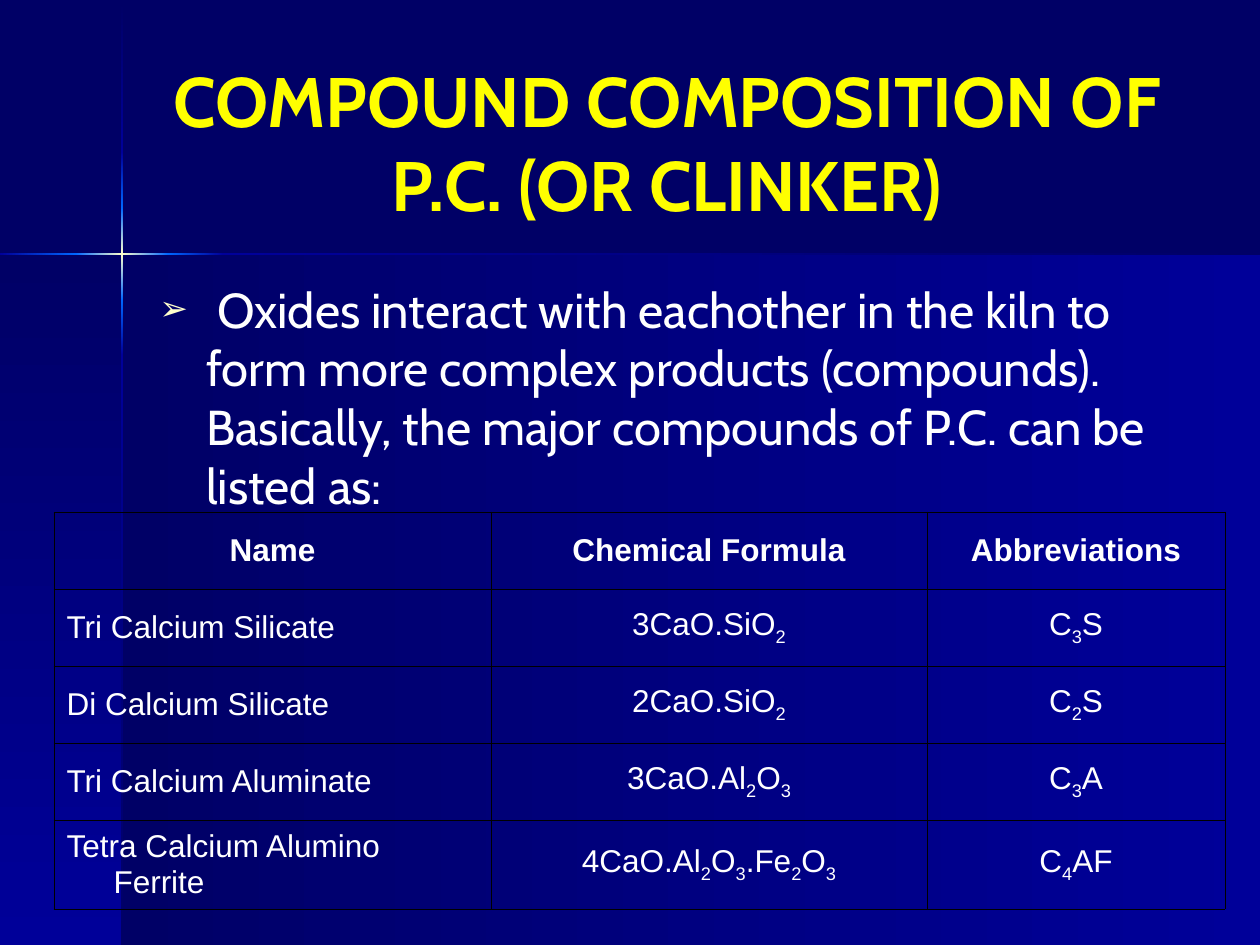
import copy
import itertools

import lxml.etree
import pptx
import pptx.dml.color
import pptx.enum.shapes
import pptx.enum.text
import pptx.oxml.ns
import pptx.util

EMU_PER_PX = 914400 / 126
RGB = pptx.dml.color.RGBColor
NAVY = RGB(0x00, 0x00, 0x66)
BLUE = RGB(0x00, 0x00, 0x99)
BRIGHT = RGB(0x00, 0x66, 0xFF)
CREAM = RGB(0xFF, 0xFF, 0xCC)
YELLOW = RGB(0xFF, 0xFF, 0x00)
WHITE = RGB(0xFF, 0xFF, 0xFF)
BLACK = RGB(0x00, 0x00, 0x00)
CENTER = pptx.enum.text.PP_ALIGN.CENTER
MIDDLE = pptx.enum.text.MSO_ANCHOR.MIDDLE
DOWN, LEFTWARD = 270, 180
HANG = 47

COMPOUNDS = [
    ("Name", "Chemical Formula", "Abbreviations"),
    ("Tri Calcium Silicate", "3CaO.SiO2", "C3S"),
    ("Di Calcium Silicate", "2CaO.SiO2", "C2S"),
    ("Tri Calcium Aluminate", "3CaO.Al2O3", "C3A"),
    ("Tetra Calcium Alumino Ferrite", "4CaO.Al2O3.Fe2O3", "C4AF"),
]


def px(length):
    return pptx.util.Emu(round(length * EMU_PER_PX))


def add_element(parent, tag, **attributes):
    return lxml.etree.SubElement(parent, pptx.oxml.ns.qn(tag), attributes)


def add_span(para, text, size, font, color, bold=False):
    span = para.add_run()
    span.text = text
    span.font.size = pptx.util.Pt(size)
    span.font.name = font
    span.font.color.rgb = color
    span.font.bold = bold
    return span


def set_hanging_indent(para):
    properties = para._p.get_or_add_pPr()
    properties.set("marL", str(px(HANG)))
    properties.set("indent", str(-px(HANG)))
    return properties


def add_gradient_bar(page, box, colors, angle):
    bar = page.shapes.add_shape(
        pptx.enum.shapes.MSO_SHAPE.RECTANGLE, *map(px, box))
    bar.shadow.inherit = False
    bar.line.fill.background()
    bar.fill.gradient()
    bar.fill.gradient_angle = angle
    stop_list = bar._element.spPr.find(".//" + pptx.oxml.ns.qn("a:gsLst"))
    for _ in colors[2:]:
        stop_list.append(copy.deepcopy(stop_list[0]))
    for index, (stop, color) in enumerate(zip(bar.fill.gradient_stops, colors)):
        stop.position = index / (len(colors) - 1)
        stop.color.rgb = color


def add_backdrop(page, box):
    left, top, width, height = box
    cross_x, cross_y, thick = left + 122, top + 255, 2
    right, bottom = left + width, top + height
    add_gradient_bar(page, (cross_x, cross_y, right - cross_x, bottom - cross_y),
                     (BLUE, NAVY), LEFTWARD)
    add_gradient_bar(page, (left, cross_y, cross_x - left, bottom - cross_y),
                     (NAVY, BLUE), DOWN)
    vertical = [
        (1, 152, (NAVY, BLUE)),
        (152, 208, (BLUE, BRIGHT)),
        (208, 300, (BRIGHT, CREAM, BRIGHT)),
        (300, 355, (BRIGHT, BLUE)),
        (355, height, (BLUE, NAVY)),
    ]
    for start, end, colors in vertical:
        add_gradient_bar(page, (cross_x - 1, top + start, thick, end - start),
                         colors, DOWN)
    horizontal = [
        (0, 76, (BRIGHT, BLUE)),
        (76, 168, (BRIGHT, CREAM, BRIGHT)),
        (168, 223, (BLUE, BRIGHT)),
        (223, width, (NAVY, BLUE)),
    ]
    for start, end, colors in horizontal:
        add_gradient_bar(page, (left + start, cross_y - 2, end - start, thick),
                         colors, LEFTWARD)


def add_title(page, box):
    frame = page.shapes.add_textbox(*map(px, box)).text_frame
    frame.word_wrap = True
    frame.vertical_anchor = MIDDLE
    para = frame.paragraphs[0]
    para.alignment = CENTER
    add_span(para, "COMPOUND COMPOSITION OF P.C. (OR CLINKER)",
             40, "Cabin", YELLOW, True)


def add_body(page, box):
    frame = page.shapes.add_textbox(*map(px, box)).text_frame
    frame.word_wrap = True
    para = frame.paragraphs[0]
    properties = set_hanging_indent(para)
    bullet_color = add_element(properties, "a:buClr")
    add_element(bullet_color, "a:srgbClr", val=str(CREAM))
    add_element(properties, "a:buSzPct", val="70000")
    add_element(properties, "a:buFont", typeface="Arial")
    add_element(properties, "a:buChar", char="➢")
    add_span(para, " Oxides interact with eachother in the kiln to form more "
             "complex products (compounds). Basically, the major compounds "
             "of P.C. can be listed as:", 28, "Cabin", WHITE)


def add_formula(para, text, bold):
    for is_digit, group in itertools.groupby(text, str.isdigit):
        is_subscript = is_digit and len(para.runs) > 0
        span = add_span(para, "".join(group), 18, "Arial", WHITE, bold)
        if is_subscript:
            span.font._element.set("baseline", "-25000")


def set_cell_borders(cell):
    properties = cell._tc.get_or_add_tcPr()
    for tag in ("a:lnL", "a:lnR", "a:lnT", "a:lnB"):
        line = add_element(properties, tag, w=str(pptx.util.Pt(0.45)))
        add_element(add_element(line, "a:solidFill"), "a:srgbClr", val=str(BLACK))


def add_compound_table(page, box):
    widths, heights = (437, 436, 298), (77, 77, 77, 77, 89)
    table = page.shapes.add_table(
        len(heights), len(widths), *map(px, box)).table
    table.first_row = False
    table.horz_banding = False
    for column, width in zip(table.columns, widths):
        column.width = px(width)
    for row, height in zip(table.rows, heights):
        row.height = px(height)
    for row_index, texts in enumerate(COMPOUNDS):
        for column_index, text in enumerate(texts):
            cell = table.cell(row_index, column_index)
            set_cell_borders(cell)
            cell.fill.background()
            cell.vertical_anchor = MIDDLE
            para = cell.text_frame.paragraphs[0]
            set_hanging_indent(para)
            if row_index == 0 or column_index > 0:
                para.alignment = CENTER
            add_formula(para, text, row_index == 0)


def main():
    deck = pptx.Presentation()
    deck.slide_width, deck.slide_height = px(1260), px(945)
    page = deck.slides.add_slide(deck.slide_layouts[6])
    page.background.fill.solid()
    page.background.fill.fore_color.rgb = NAVY
    add_backdrop(page, (0, 0, 1260, 945))
    add_title(page, (147, 42, 1040, 198))
    add_body(page, (147, 273, 1011, 249))
    add_compound_table(page, (54, 512, 1171, 397))
    deck.save("out.pptx")


if __name__ == "__main__":
    main()
